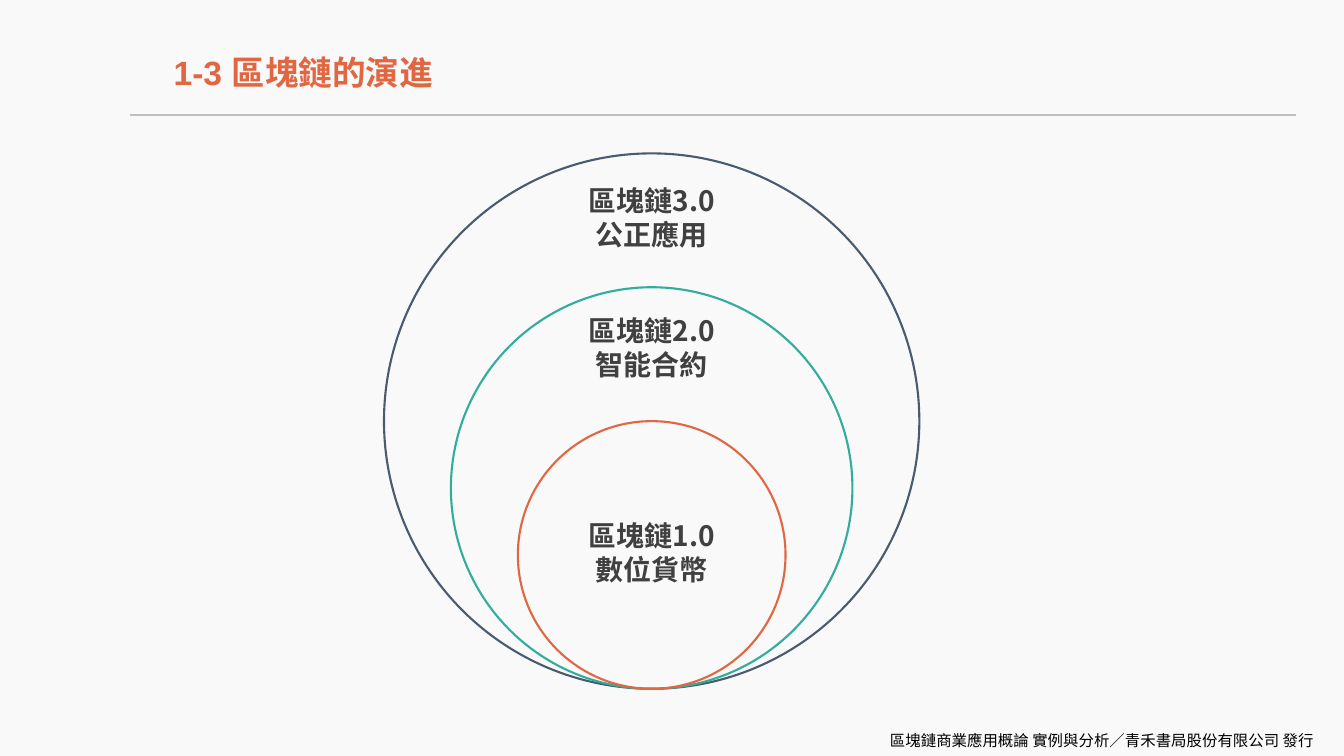
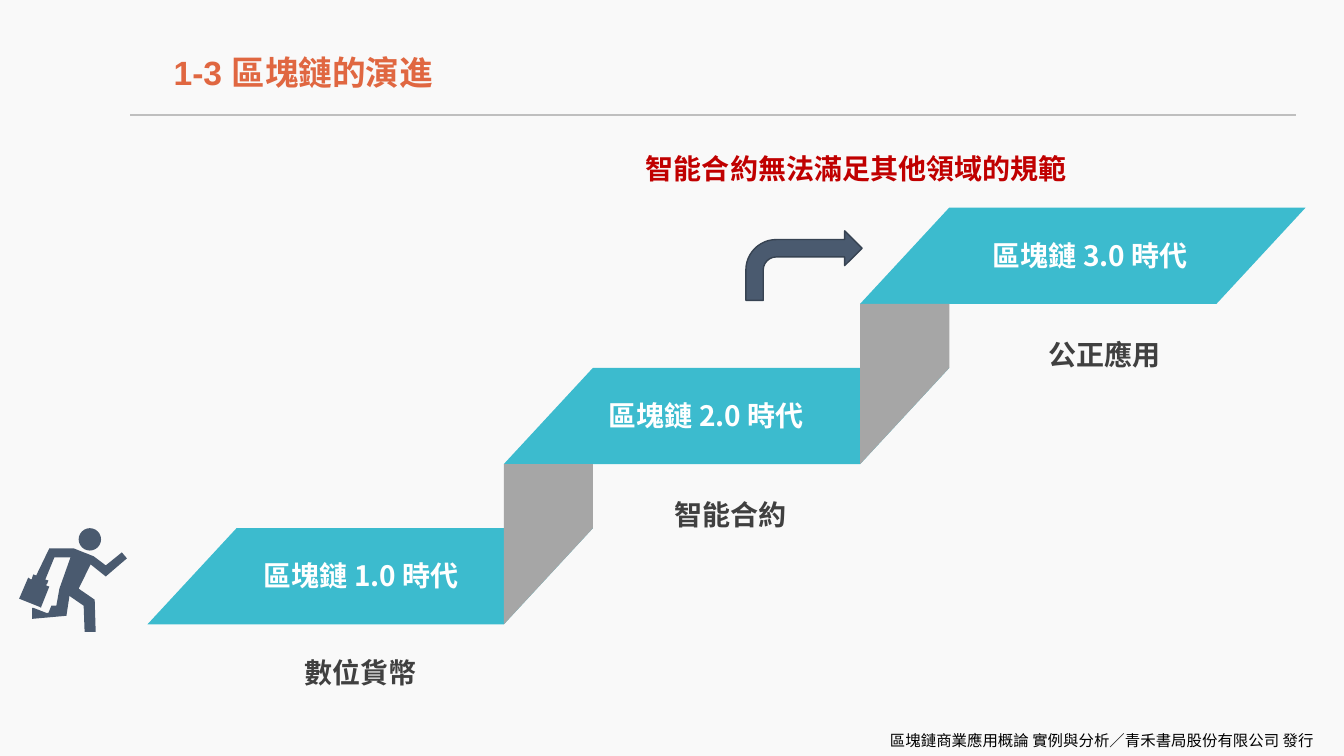
import pptx
import pptx.util
import pptx.dml.color
import pptx.enum.shapes
import pptx.enum.text
import pptx.oxml.ns
from dataclasses import dataclass
from lxml import etree

Pt = pptx.util.Pt
Shape = pptx.enum.shapes.MSO_SHAPE
Align = pptx.enum.text.PP_ALIGN
Anchor = pptx.enum.text.MSO_ANCHOR


@dataclass(frozen=True)
class Theme:
    paper: str = "F9F9F9"
    orange: str = "E06741"
    teal: str = "32AC9D"
    slate: str = "4A5A6F"
    slate_edge: str = "374352"
    cyan: str = "3CBBCE"
    gray: str = "A6A6A6"
    rule: str = "BFBFBF"
    text: str = "404040"
    alert: str = "C00000"
    white: str = "FFFFFF"
    black: str = "000000"
    title_font: str = "Arial"
    body_font: str = "Noto Sans CJK SC"
    footer_font: str = "Noto Sans CJK TC"
    title_size: float = 24
    body_size: float = 20
    footer_size: float = 11


THEME = Theme()
TITLE = "1-3 區塊鏈的演進"
FOOTER = "區塊鏈商業應用概論 實例與分析／青禾書局股份有限公司 發行"

# Nested circles: diameter in units, colour, lines, centre of the label
CIRCLE_UNIT, CIRCLE_CENTER, CIRCLE_BOTTOM = 95.6, 465.5, 492
CIRCLES = [
    (4, THEME.slate, ("區塊鏈3.0", "公正應用"), 156.5),
    (3, THEME.teal, ("區塊鏈2.0", "智能合約"), 249.5),
    (2, THEME.orange, ("區塊鏈1.0", "數位貨幣"), 396),
]

# Staircase: the preset's slant is a fifth of its width
STEP_WIDTH, STEP_HEIGHT, STEP_RISE = 318.2, 68.7, 114.5
STEP_SLANT = STEP_WIDTH / 5
STEP_LEFT, STEP_TOP = 105.3, 377.3
# Era, its left, caption, its left and top
STEPS = [
    ("區塊鏈 1.0 時代", 181.4, "數位貨幣", 210.2, 464.4),
    ("區塊鏈 2.0 時代", 427.7, "智能合約", 474.5, 352),
    ("區塊鏈 3.0 時代", 702, "公正應用", 741.6, 237.6),
]

RUNNER = [
    (75.6, 403.9), (67, 397.4), (52.6, 391.7), (35.3, 391.7), (25.9, 411.1),
    (23.8, 410.4), (23, 412.6), (23, 413.3), (22.3, 414), (20.2, 412.6),
    (13.7, 427.7), (28.1, 433.4), (29.5, 434.2), (29.5, 433.4), (35.3, 419),
    (33.1, 418.3), (33.1, 417.6), (33.8, 416.9), (34.6, 414.7), (32.4, 414),
    (38.9, 398.2), (50.4, 398.2), (42.5, 420.5), (40.3, 432.7), (36.7, 432.7),
    (35.3, 436.3), (34.6, 437.8), (33.1, 437.8), (23.8, 434.2), (23, 434.2),
    (23, 442.1), (47.5, 439.9), (49.7, 425.5), (50.4, 426.2), (59.8, 432.7),
    (60.5, 451.4), (68.4, 451.4), (67.7, 428.4), (56.2, 420.5), (64.8, 403.2),
    (75.6, 411.8), (90.7, 398.9), (87.1, 394.6),
]


def rgb(color):
    return pptx.dml.color.RGBColor.from_string(color)


# Text
def add_span(para, text, color, font=THEME.body_font, size=THEME.body_size,
             bold=True, east_asian=None):
    span = para.add_run()
    span.text = text
    span.font.name, span.font.size, span.font.bold = font, Pt(size), bold
    span.font.color.rgb = rgb(color)
    east = etree.SubElement(span.font._element, pptx.oxml.ns.qn("a:ea"))
    east.set("typeface", east_asian or font)


def add_text(page, left, top, width, height, text, color, **style):
    box = page.shapes.add_textbox(Pt(left), Pt(top), Pt(width), Pt(height))
    box.text_frame.word_wrap = True
    add_span(box.text_frame.paragraphs[0], text, color, **style)


def add_centered_lines(page, center, middle, lines):
    width, height = 134, 58
    box = page.shapes.add_textbox(Pt(center - width / 2), Pt(middle - height / 2),
                                  Pt(width), Pt(height))
    frame = box.text_frame
    frame.word_wrap = True
    frame.vertical_anchor = Anchor.MIDDLE
    frame.margin_top = frame.margin_bottom = 0
    for index, line in enumerate(lines):
        para = frame.add_paragraph() if index else frame.paragraphs[0]
        para.alignment = Align.CENTER
        para.line_spacing = 0.9
        para.space_after = Pt(2.5)
        add_span(para, line, THEME.text)


# Shapes
def paint(shape, fill=None, line=None, line_width=1.5):
    shape.shadow.inherit = False
    if fill:
        shape.fill.solid()
        shape.fill.fore_color.rgb = rgb(fill)
    else:
        shape.fill.background()
    if line:
        shape.line.color.rgb = rgb(line)
        shape.line.width = Pt(line_width)
    else:
        shape.line.fill.background()


def add_preset(page, preset, left, top, width, height, **look):
    shape = page.shapes.add_shape(preset, Pt(left), Pt(top), Pt(width), Pt(height))
    paint(shape, **look)


def add_outline(page, points, fill):
    corners = [(Pt(x), Pt(y)) for x, y in points]
    builder = page.shapes.build_freeform(*corners[0])
    builder.add_line_segments(corners[1:], close=True)
    paint(builder.convert_to_shape(), fill=fill)


def add_rule(page, left, right, y):
    rule = page.shapes.add_connector(pptx.enum.shapes.MSO_CONNECTOR.STRAIGHT,
                                     Pt(left), Pt(y), Pt(right), Pt(y))
    rule.line.color.rgb = rgb(THEME.rule)
    rule.line.width = Pt(1.5)
    etree.SubElement(rule._element.spPr, pptx.oxml.ns.qn("a:effectLst"))


# What every page shares
def add_page(deck):
    page = deck.slides.add_slide(deck.slide_layouts[5])
    title = page.shapes.title
    title.left, title.top, title.width, title.height = Pt(73.4), Pt(34), Pt(286.6), Pt(35)
    frame = title.text_frame
    frame.auto_size = pptx.enum.text.MSO_AUTO_SIZE.NONE
    frame.vertical_anchor = Anchor.MIDDLE
    frame.margin_top = frame.margin_bottom = 0
    frame.paragraphs[0].alignment = Align.CENTER
    add_span(frame.paragraphs[0], TITLE, THEME.orange, font=THEME.title_font,
             size=THEME.title_size, east_asian=THEME.footer_font)
    add_text(page, 628.6, 519, 331.4, 21, FOOTER, THEME.black,
             font=THEME.footer_font, size=THEME.footer_size, bold=False)
    add_rule(page, 92.9, 925.9, 82.1)
    return page


# Pages
def build_circles(deck):
    page = add_page(deck)
    for units, color, lines, middle in CIRCLES:
        size = units * CIRCLE_UNIT
        add_preset(page, Shape.OVAL, CIRCLE_CENTER - size / 2, CIRCLE_BOTTOM - size,
                   size, size, line=color)
        add_centered_lines(page, CIRCLE_CENTER, middle, lines)


def build_staircase(deck):
    page = add_page(deck)

    # Runner
    add_preset(page, Shape.OVAL, 56.2, 377.3, 16, 16, fill=THEME.slate)
    add_outline(page, RUNNER, THEME.slate)

    # Treads, each starting where the slant of the one below starts
    corners = [(STEP_LEFT + i * (STEP_WIDTH - STEP_SLANT), STEP_TOP - i * STEP_RISE)
               for i in range(len(STEPS))]
    for left, top in corners:
        add_preset(page, Shape.FLOWCHART_DATA, left, top, STEP_WIDTH, STEP_HEIGHT,
                   fill=THEME.cyan)

    # Risers between neighbouring treads
    for (_, lower), (left, upper) in zip(corners, corners[1:]):
        right, top = left + STEP_SLANT, upper + STEP_HEIGHT
        add_outline(page, [(left, lower + STEP_HEIGHT), (left, top),
                           (right, top), (right, lower)], THEME.gray)

    # Labels
    for (_, top), (era, era_left, caption, caption_left, caption_top) in zip(corners, STEPS):
        add_text(page, era_left, top + 18.2, 158.4, 31.5, era, THEME.white)
        add_text(page, caption_left, caption_top, 101, 31.5, caption, THEME.text)
    add_text(page, 454.3, 104.4, 318, 31.5, "智能合約無法滿足其他領域的規範", THEME.alert)
    add_preset(page, Shape.BENT_ARROW, 532.8, 164.9, 83, 49.7, fill=THEME.slate,
               line=THEME.slate_edge, line_width=1)


def main():
    deck = pptx.Presentation()
    deck.slide_width, deck.slide_height = Pt(960), Pt(540)
    background = deck.slide_master.background.fill
    background.solid()
    background.fore_color.rgb = rgb(THEME.paper)
    build_circles(deck)
    build_staircase(deck)
    deck.save("out.pptx")


if __name__ == "__main__":
    main()
